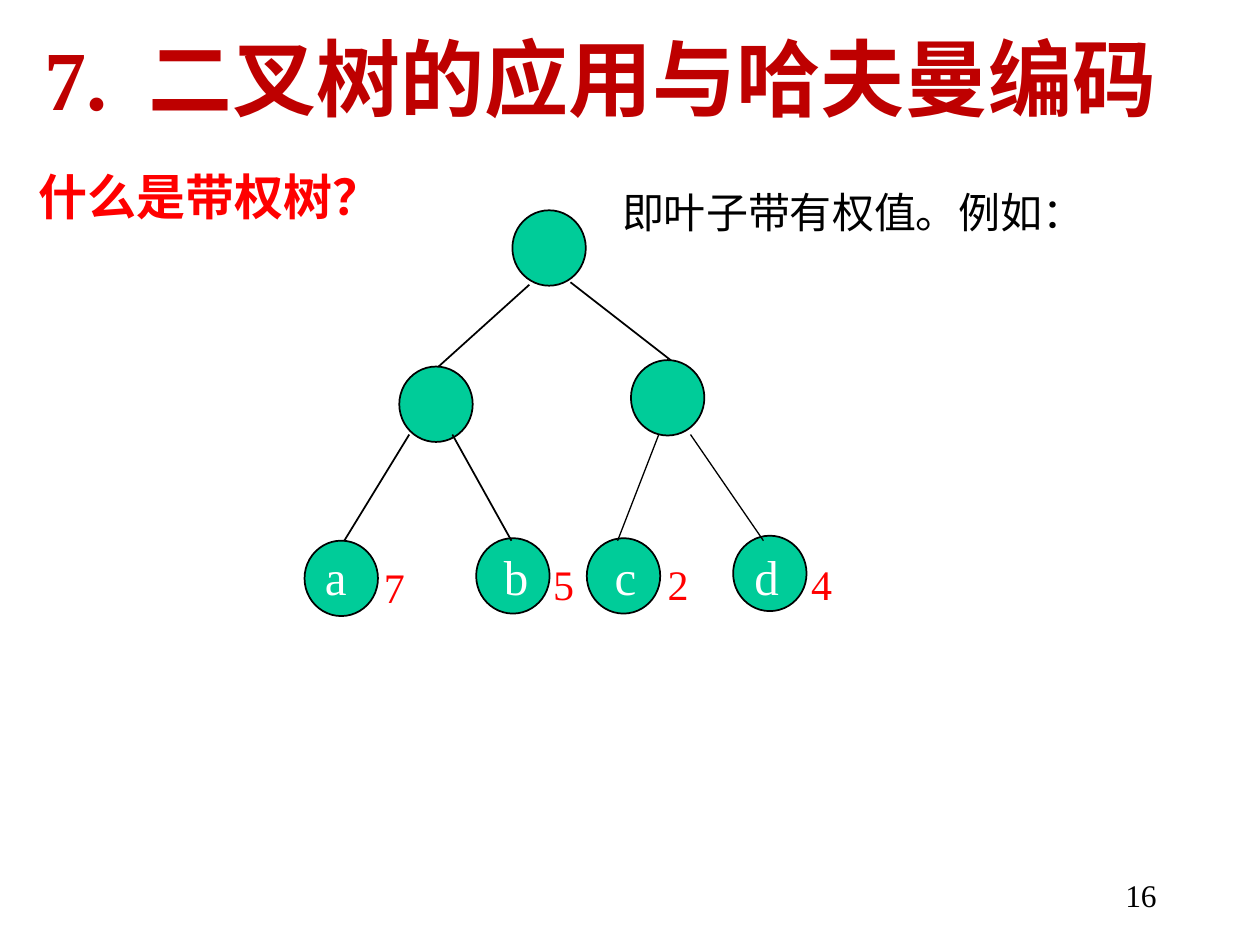
from lxml import etree
from pptx import Presentation
from pptx.dml.color import RGBColor
from pptx.enum import shapes, text
from pptx.oxml import ns
from pptx.util import Cm, Pt

RED = RGBColor(0xFF, 0x00, 0x00)
DARK_RED = RGBColor(0xBE, 0x00, 0x00)
GREEN = RGBColor(0x00, 0xCC, 0x99)
BLACK = RGBColor(0x00, 0x00, 0x00)
WHITE = RGBColor(0xFF, 0xFF, 0xFF)
LATIN_FONT = "Times New Roman"
CHINESE_FONT = "Noto Sans CJK SC"

# All positions are in centimetres.
HEADING = "7.\t二叉树的应用与哈夫曼编码"
HEADING_TAB = 2.1
QUESTION = "什么是带权树？"
ANSWER = "即叶子带有权值。例如："
PAGE_NUMBER = "16"

NODE_SIZE = (1.48, 1.52)
INNER_NODES = [(10.33, 4.24), (8.05, 7.39), (12.72, 7.26)]
LEAF_TEXT_TOP = 10.9
# node left, node top, letter, letter left, weight, weight left, weight top
LEAVES = [
    (6.14, 10.9, "a", 6.3, "7", 7.49, 11.2),
    (9.6, 10.85, "b", 9.91, "5", 10.9, 11.13),
    (11.83, 10.85, "c", 12.14, "2", 13.21, 11.13),
    (14.78, 10.8, "d", 14.96, "4", 16.1, 11.13),
]
# start, end, line width in points
EDGES = [
    ((10.67, 5.74), (8.84, 7.39), 1),
    ((11.5, 5.69), (13.52, 7.26), 1),
    ((8.25, 8.76), (6.94, 10.9), 1),
    ((9.12, 8.76), (10.31, 10.9), 1),
    ((13.28, 8.76), (12.45, 10.9), 0.75),
    ((13.92, 8.76), (15.39, 10.9), 0.75),
]


def write(frame, words, size, color, bold=False, font=LATIN_FONT,
          align=text.PP_ALIGN.LEFT, wrap=True):
    frame.word_wrap = wrap
    frame.auto_size = text.MSO_AUTO_SIZE.NONE
    frame.vertical_anchor = text.MSO_ANCHOR.TOP
    paragraph = frame.paragraphs[0]
    paragraph.alignment = align
    run = paragraph.add_run()
    run.text = words
    run.font.name = font
    run.font.size = Pt(size)
    run.font.bold = bold
    run.font.color.rgb = color
    if font == CHINESE_FONT:
        etree.SubElement(run.font._element, ns.qn("a:ea"), typeface=font)
    return paragraph


def add_label(slide, box, words, size, color, **style):
    label = slide.shapes.add_textbox(*map(Cm, box))
    return write(label.text_frame, words, size, color, **style)


def add_tab_stop(paragraph, position):
    stops = etree.SubElement(paragraph._p.get_or_add_pPr(), ns.qn("a:tabLst"))
    etree.SubElement(stops, ns.qn("a:tab"), pos=str(Cm(position)), algn="l")


def add_node(slide, left, top):
    node = slide.shapes.add_shape(
        shapes.MSO_SHAPE.OVAL, Cm(left), Cm(top), *map(Cm, NODE_SIZE))
    node.shadow.inherit = False
    node.fill.solid()
    node.fill.fore_color.rgb = GREEN
    node.line.color.rgb = BLACK
    node.line.width = Pt(1)


def add_edge(slide, start, end, width):
    edge = slide.shapes.add_connector(
        shapes.MSO_CONNECTOR.STRAIGHT, *map(Cm, start + end))
    edge.line.color.rgb = BLACK
    edge.line.width = Pt(width)
    etree.SubElement(edge._element.spPr, ns.qn("a:effectLst"))


def main():
    deck = Presentation()
    deck.slide_width, deck.slide_height = Cm(25.4), Cm(19.05)
    slide = deck.slides.add_slide(deck.slide_layouts[5])

    question = slide.shapes.title
    question.left, question.top = Cm(0.53), Cm(3.23)
    question.width, question.height = Cm(7.39), Cm(1.63)
    write(question.text_frame, QUESTION, 28, RED, bold=True)

    for left, top in INNER_NODES:
        add_node(slide, left, top)
    for left, top, *_ in LEAVES:
        add_node(slide, left, top)
    for edge in EDGES:
        add_edge(slide, *edge)
    for _, _, letter, letter_left, weight, weight_left, weight_top in LEAVES:
        add_label(slide, (letter_left, LEAF_TEXT_TOP, 0.97, 1.45),
                  letter, 28, WHITE, wrap=False)
        add_label(slide, (weight_left, weight_top, 0.94, 1.27),
                  weight, 24, RED, wrap=False)

    add_label(slide, (12.29, 3.63, 10.8, 1.27), ANSWER, 24, BLACK,
              font=CHINESE_FONT)
    add_label(slide, (18.29, 17.53, 5.28, 1.27), PAGE_NUMBER, 18, BLACK,
              align=text.PP_ALIGN.RIGHT)
    heading = add_label(slide, (0.64, 0.41, 23.95, 1.78), HEADING, 48,
                        DARK_RED, bold=True)
    add_tab_stop(heading, HEADING_TAB)

    deck.save("out.pptx")


if __name__ == "__main__":
    main()
